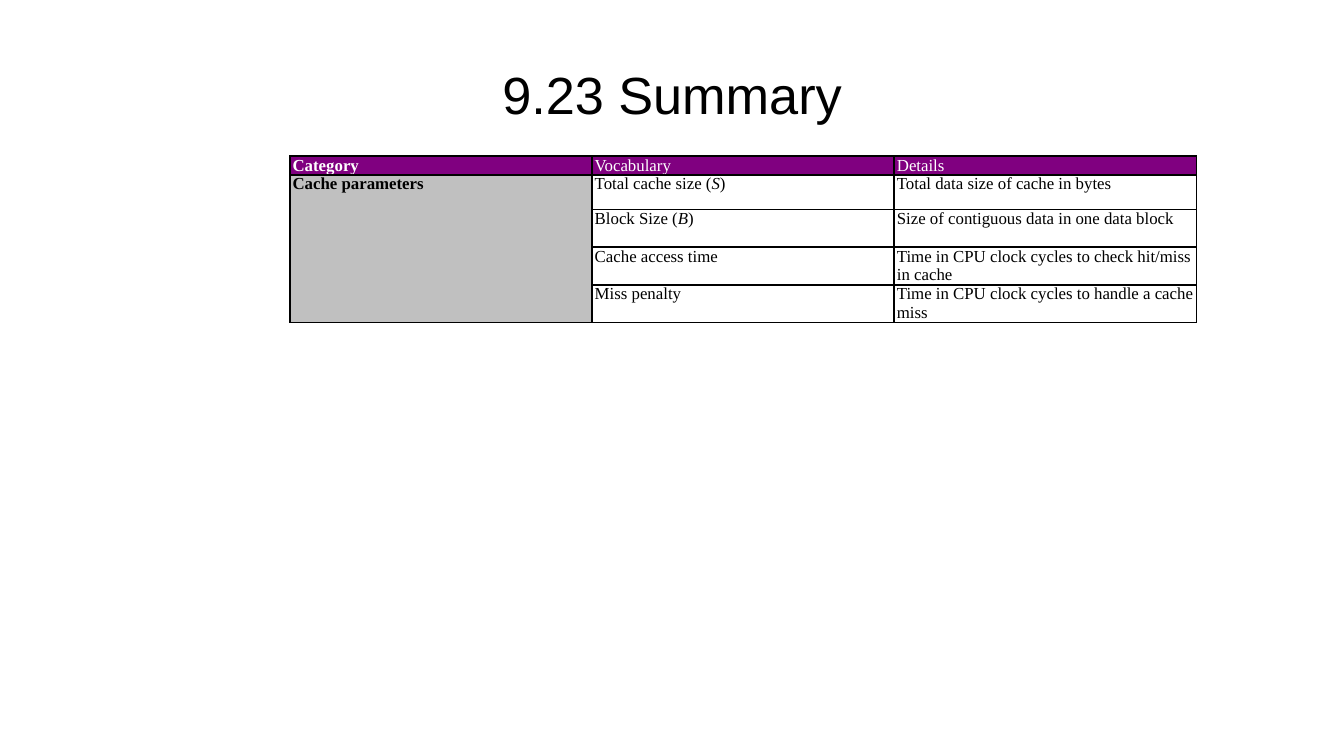
from dataclasses import dataclass

import lxml.etree
import pptx
import pptx.dml.color
import pptx.enum.text
import pptx.oxml.ns
import pptx.table
import pptx.text.text
import pptx.util
from pptx.util import Cm

qn = pptx.oxml.ns.qn


@dataclass(frozen=True)
class Theme:
    title_font: str = "Arial"
    table_font: str = "Times New Roman"
    title_size: int = 28
    table_size: int = 9
    line_width: int = 1
    black: str = "000000"
    white: str = "FFFFFF"
    header: str = "800080"
    category: str = "C0C0C0"


@dataclass(frozen=True)
class Term:
    name: str
    details: str
    symbol: str = ""


THEME = Theme()
HEADINGS = ("Category", "Vocabulary", "Details")
CATEGORY = "Cache parameters"
TERMS = (
    Term("Total cache size", "Total data size of cache in bytes", "S"),
    Term("Block Size", "Size of contiguous data in one data block", "B"),
    Term("Cache access time", "Time in CPU clock cycles to check hit/miss in cache"),
    Term("Miss penalty", "Time in CPU clock cycles to handle a cache miss"),
)
ROW_HEIGHTS = (0.33, 0.66, 0.71, 0.71, 0.71)
COLUMN_WIDTH = 5.71


def add_text(p: pptx.text.text._Paragraph, text: str, *, font: str = THEME.table_font,
             size: int = THEME.table_size, color: str = THEME.black,
             bold: bool = False, italic: bool = False) -> None:
    r = p.add_run()
    r.text = text
    r.font.name = font
    r.font.size = pptx.util.Pt(size)
    r.font.bold = bold
    r.font.italic = italic
    r.font.color.rgb = pptx.dml.color.RGBColor.from_string(color)


def set_borders(cell: pptx.table._Cell, sides: str) -> None:
    tc_pr = cell._tc.get_or_add_tcPr()
    for side in "LRTB":
        ln = lxml.etree.SubElement(tc_pr, qn(f"a:ln{side}"))
        if side in sides:
            ln.set("w", str(pptx.util.Pt(THEME.line_width)))
            fill = lxml.etree.SubElement(ln, qn("a:solidFill"))
            lxml.etree.SubElement(fill, qn("a:srgbClr"), val=THEME.black)
        else:
            lxml.etree.SubElement(ln, qn("a:noFill"))


def format_cell(cell: pptx.table._Cell, fill: str = "", sides: str = "LRTB") -> pptx.text.text._Paragraph:
    cell.margin_left = cell.margin_right = Cm(0.05)
    cell.margin_top = cell.margin_bottom = 0
    set_borders(cell, sides)
    if fill:
        cell.fill.solid()
        cell.fill.fore_color.rgb = pptx.dml.color.RGBColor.from_string(fill)
    else:
        cell.fill.background()
    return cell.text_frame.paragraphs[0]


def add_term(table: pptx.table.Table, row: int, term: Term) -> None:
    sides = "LR" + ("T" if row == 1 else "") + ("B" if row == len(TERMS) else "")
    p = format_cell(table.cell(row, 0), THEME.category, sides)
    if row == 1:
        add_text(p, CATEGORY, bold=True)
    else:
        size = str(THEME.table_size * 100)
        lxml.etree.SubElement(p._p, qn("a:endParaRPr"), sz=size)

    p = format_cell(table.cell(row, 1))
    if term.symbol:
        add_text(p, f"{term.name} (")
        add_text(p, term.symbol, italic=True)
        add_text(p, ")")
    else:
        add_text(p, term.name)
    add_text(format_cell(table.cell(row, 2)), term.details)


def main() -> None:
    prs = pptx.Presentation()
    prs.slide_width, prs.slide_height = Cm(25.4), Cm(14.29)
    s = prs.slides.add_slide(prs.slide_layouts[5])

    title = s.shapes.title
    title.left, title.top, title.width, title.height = Cm(1.27), Cm(0.58), Cm(22.86), Cm(2.39)
    tf = title.text_frame
    tf.vertical_anchor = pptx.enum.text.MSO_ANCHOR.MIDDLE
    p = tf.paragraphs[0]
    p.alignment = pptx.enum.text.PP_ALIGN.CENTER
    add_text(p, "9.23 Summary", font=THEME.title_font, size=THEME.title_size)

    table = s.shapes.add_table(
        len(ROW_HEIGHTS), len(HEADINGS), Cm(5.48), Cm(2.95),
        Cm(COLUMN_WIDTH * len(HEADINGS)), Cm(sum(ROW_HEIGHTS))).table
    table.first_row = table.horz_banding = False
    for column in table.columns:
        column.width = Cm(COLUMN_WIDTH)
    for row, height in zip(table.rows, ROW_HEIGHTS):
        row.height = Cm(height)

    for i, heading in enumerate(HEADINGS):
        p = format_cell(table.cell(0, i), THEME.header)
        add_text(p, heading, color=THEME.white, bold=i == 0)
    for i, term in enumerate(TERMS, start=1):
        add_term(table, i, term)

    prs.save("out.pptx")


if __name__ == "__main__":
    main()
